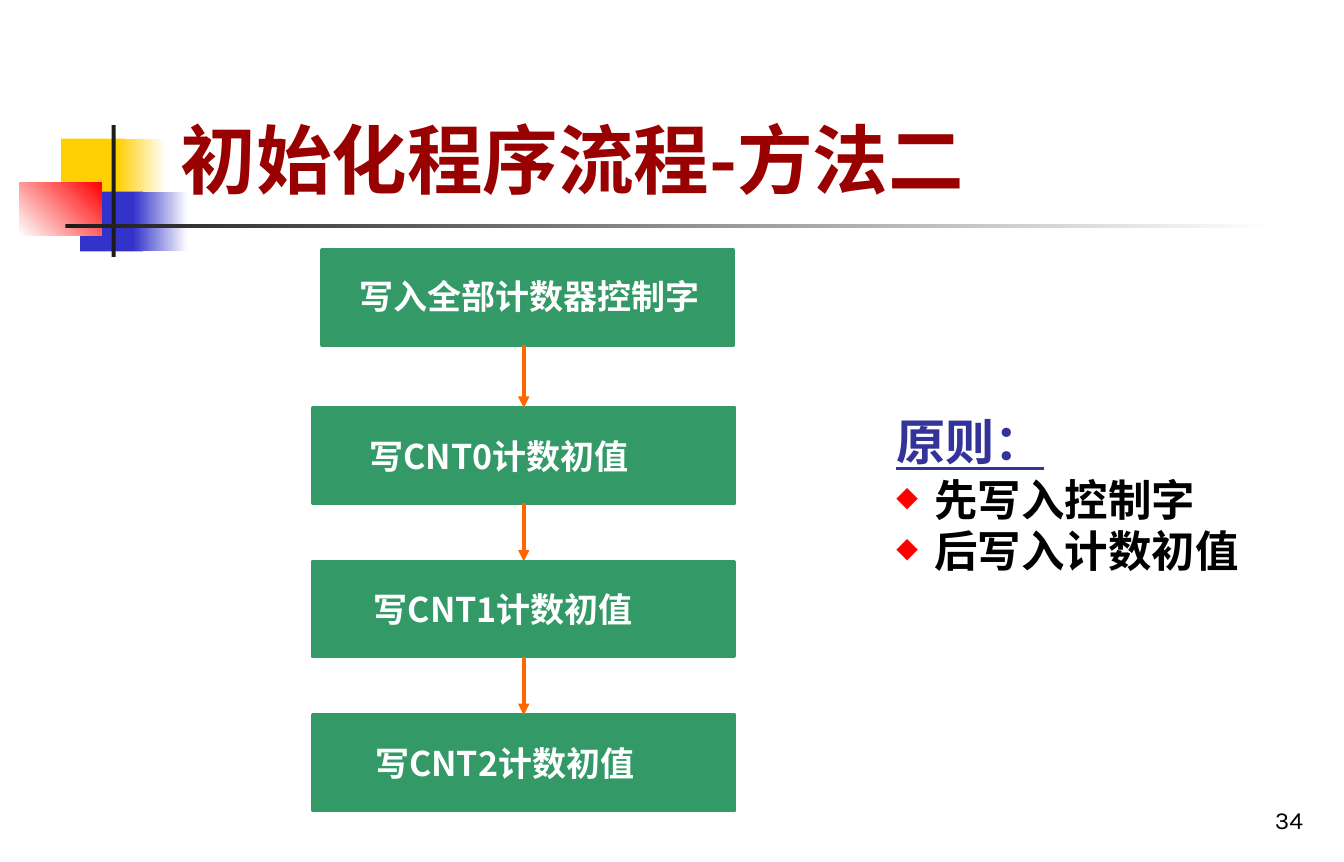
from lxml import etree
from pptx import Presentation
from pptx import util as u
from pptx.dml.color import RGBColor
from pptx.enum import shapes, text
from pptx.oxml.ns import qn

COLORS = {
    "white": "FFFFFF", "black": "000000", "ink": "1C1C1C",
    "yellow": "FFCF01", "blue": "3333CC", "red": "FF0000",
    "title": "990000", "step": "339966", "arrow": "FF6600", "heading": "333399",
}
CJK = "Noto Sans CJK SC"


def rgb(name):
    return RGBColor.from_string(COLORS[name])


class FlowSlide:
    """Draws styled elements on one slide, placed in percent of its size."""

    def __init__(self, width, height):
        self.presentation = Presentation()
        self.presentation.slide_width = u.Inches(width)
        self.presentation.slide_height = u.Inches(height)
        self.slide = self.presentation.slides.add_slide(self.presentation.slide_layouts[6])

    def x(self, share):
        return u.Emu(round(self.presentation.slide_width * share / 100))

    def y(self, share):
        return u.Emu(round(self.presentation.slide_height * share / 100))

    def area(self, left, top, width, height):
        return self.x(left), self.y(top), self.x(width), self.y(height)

    def block(self, area, color, fade_to=None, angle=0, line=None):
        shape = self.slide.shapes.add_shape(shapes.MSO_SHAPE.RECTANGLE, *self.area(*area))
        shape.shadow.inherit = False
        if fade_to:
            shape.fill.gradient()
            shape.fill.gradient_angle = angle
            for stop, name in zip(shape.fill.gradient_stops, (color, fade_to)):
                stop.color.rgb = rgb(name)
        else:
            shape.fill.solid()
            shape.fill.fore_color.rgb = rgb(color)
        if line:
            shape.line.color.rgb = rgb(color)
            shape.line.width = u.Pt(line)
        else:
            shape.line.fill.background()
        return shape

    def style(self, paragraph, size, color, font=CJK, bold=True, underline=False):
        for run in paragraph.runs:
            run.font.size = u.Pt(size)
            run.font.bold = bold
            run.font.underline = underline
            run.font.name = font
            run.font.color.rgb = rgb(color)
            etree.SubElement(run.font._element, qn("a:ea"), typeface=font)

    def text_box(self, area, lines, anchor=text.MSO_ANCHOR.TOP):
        frame = self.slide.shapes.add_textbox(*self.area(*area)).text_frame
        frame.word_wrap = True
        frame.vertical_anchor = anchor
        frame.margin_left = frame.margin_right = u.Inches(0.09)
        frame.margin_top = frame.margin_bottom = u.Inches(0.05)
        frame.text = "\n".join(lines)
        return frame.paragraphs

    def label(self, area, words, size, color, align, anchor=text.MSO_ANCHOR.TOP, **font):
        paragraph = self.text_box(area, [words], anchor)[0]
        paragraph.alignment = align
        self.style(paragraph, size, color, **font)

    def arrow(self, column, top, bottom, source, target):
        connector = self.slide.shapes.add_connector(
            shapes.MSO_CONNECTOR.STRAIGHT, self.x(column), self.y(top), self.x(column), self.y(bottom))
        if source:
            connector.begin_connect(source, 2)
        connector.end_connect(target, 0)
        connector.line.color.rgb = rgb("arrow")
        connector.line.width = u.Pt(2)
        etree.SubElement(connector.line._get_or_add_ln(), qn("a:tailEnd"), type="triangle")
        etree.SubElement(connector._element.spPr, qn("a:effectLst"))

    def principles(self, area, heading, points):
        first, *rest = self.text_box(area, [heading, *points])
        first.space_after = u.Pt(2)
        self.style(first, 26, "heading", underline=True)
        for paragraph in rest:
            properties = paragraph._p.get_or_add_pPr()
            properties.set("marL", str(u.Inches(0.28)))
            properties.set("indent", str(-u.Inches(0.28)))
            color = etree.SubElement(properties, qn("a:buClr"))
            etree.SubElement(color, qn("a:srgbClr"), val=COLORS["red"])
            etree.SubElement(properties, qn("a:buSzPct"), val="65000")
            etree.SubElement(properties, qn("a:buChar"), char="◆")
            paragraph.line_spacing = 0.9
            paragraph.space_before = u.Pt(2.3)
            self.style(paragraph, 23, "black")


def main():
    page = FlowSlide(9.88, 6.34)
    left, center, right = text.PP_ALIGN.LEFT, text.PP_ALIGN.CENTER, text.PP_ALIGN.RIGHT
    bottom = text.MSO_ANCHOR.BOTTOM

    page.block((4.55, 16.09, 4.76, 6.94), "yellow")
    page.block((8.7, 16.09, 3.64, 6.94), "yellow", "white")
    page.block((5.97, 22.24, 4.66, 6.94), "blue")
    page.block((9.92, 22.24, 4.05, 6.94), "blue", "white")
    page.block((1.42, 21.14, 6.17, 6.15), "white", "red", 45)
    page.block((8.3, 14.51, 0.3, 15.3), "ink")
    page.block((4.86, 26.03, 89.98, 0.47), "ink", "white")

    page.label((77.02, 91.01, 20.85, 6.62), "34", 13, "black", right, bottom, font="Karla", bold=False)
    page.label((12.55, 3.15, 85.22, 21.29), "初始化程序流程-方法二", 40, "title", left, bottom)

    height, first_top, counter_top, pitch = 11.04, 29.02, 47.32, 17.82
    control = page.block((23.99, first_top, 30.57, height), "step", line=2)
    page.label((24.09, first_top + 2.2, 30.57, 6.31), "写入全部计数器控制字", 18, "white", center)

    counters = []
    for number, label_left in enumerate((25.4, 25.71, 25.81)):
        top = counter_top + number * pitch
        counters.append(page.block((23.28, top, 31.38, height), "step", line=2))
        page.label((label_left, top + 2.4, 23.48, 6.31), f"写CNT{number}计数初值", 18, "white", center)

    page.arrow(38.97, first_top + height, counter_top, None, counters[0])
    for number, (source, target) in enumerate(zip(counters, counters[1:])):
        top = counter_top + number * pitch
        page.arrow(38.97, top + height, top + pitch, source, target)

    page.principles((65.79, 47, 30.67, 24.76), "原则：", ["先写入控制字", "后写入计数初值"])
    page.presentation.save("out.pptx")


if __name__ == "__main__":
    main()
